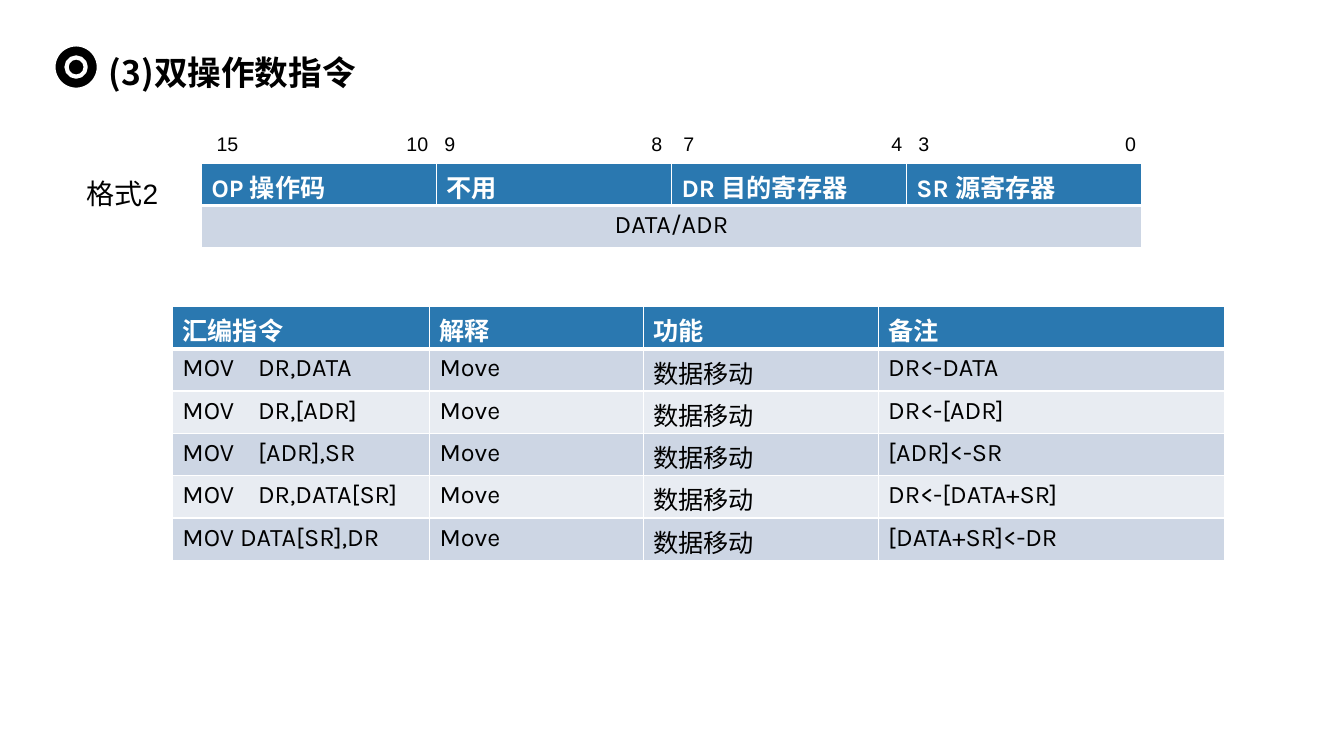
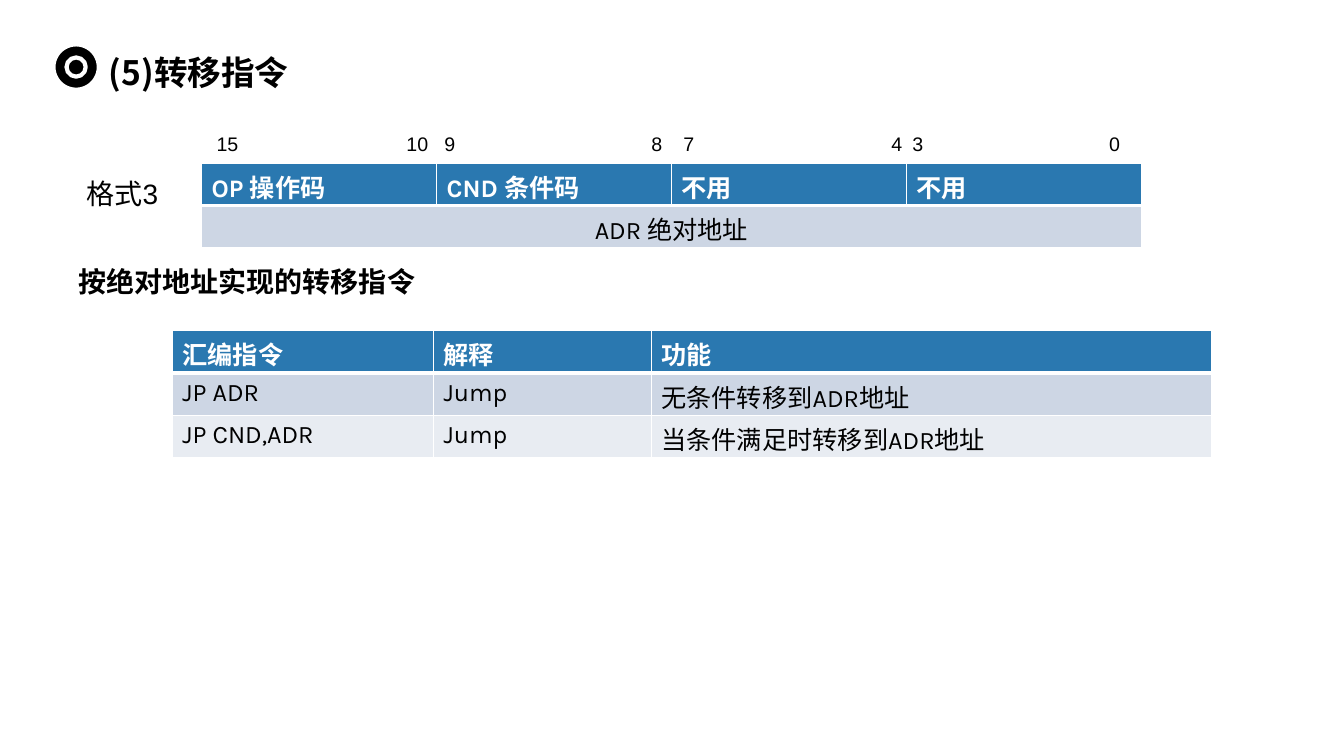
from dataclasses import dataclass

from lxml.etree import SubElement as Sub
from pptx import Presentation
from pptx.dml.color import RGBColor as Rgb
from pptx.enum.shapes import MSO_SHAPE as Shape
from pptx.enum.text import MSO_ANCHOR as Anchor, MSO_AUTO_SIZE as Auto, PP_ALIGN as Align
from pptx.oxml import parse_xml
from pptx.oxml.ns import nsdecls, qn
from pptx.util import Emu, Pt

SCALE = 9144


@dataclass(frozen=True)
class Theme:
    """Colours, fonts and sizes shared by the slides."""
    ink: str = "000000"
    white: str = "FFFFFF"
    head: str = "2A78B0"
    bands: tuple = ("CDD6E4", "E8ECF2")
    sans: str = "Arial"
    grid: str = "Karla"
    han: str = "Noto Sans CJK SC"
    title: int = 24
    label: int = 20
    cell: int = 18
    bit: int = 14
    thin: int = 1
    thick: int = 3
    row: int = 42


T = Theme()


def px(n):
    """Turn px into EMU."""
    return Emu(round(n * SCALE))


def box(*sides):
    """Turn a px box into EMU."""
    return [px(n) for n in sides]


def style(para, size, face, color=T.ink, bold=False):
    """Format every run of a paragraph."""
    for run in para.runs:
        font = run.font
        font.size, font.name, font.bold = Pt(size), face, bold
        font.color.rgb = Rgb.from_string(color)
        Sub(font._element, qn("a:ea")).set("typeface", T.han)


def tabs(para, stops):
    """Add tab stops, given as (px, alignment) pairs."""
    items = Sub(para._p.get_or_add_pPr(), qn("a:tabLst"))
    for pos, side in stops:
        tab = Sub(items, qn("a:tab"))
        tab.set("pos", str(px(pos)))
        tab.set("algn", side)


def write(slide, area, text, size, bold=False, stops=()):
    """Place a text box with one paragraph."""
    frame = slide.shapes.add_textbox(*box(*area)).text_frame
    frame.word_wrap = True
    frame.auto_size = Auto.SHAPE_TO_FIT_TEXT
    frame.text = text
    para = frame.paragraphs[0]
    if stops:
        tabs(para, stops)
    para.line_spacing = 1.3
    style(para, size, T.sans, bold=bold)


def ring(slide, left, top, size):
    """Draw the target mark beside the title."""
    group = slide.shapes.add_group_shape()
    for inset in (0, 13):
        side = size - 2 * inset
        disc = group.shapes.add_shape(
            Shape.OVAL, *box(left + inset, top + inset, side, side))
        disc.shadow.inherit = False
        disc.fill.solid()
        disc.fill.fore_color.rgb = Rgb.from_string(T.ink)
        disc.line.color.rgb = Rgb.from_string(T.white)
        disc.line.width = Pt(T.thick)


def start(deck, text):
    """Add a slide with its title and mark."""
    slide = deck.slides.add_slide(deck.slide_layouts[5])
    title = slide.shapes.title
    title.left, title.top, title.width, title.height = box(98, 32, 1207, 70)
    frame = title.text_frame
    frame.text = text
    frame.auto_size = Auto.NONE
    frame.vertical_anchor = Anchor.MIDDLE
    para = frame.paragraphs[0]
    para.alignment, para.line_spacing = Align.LEFT, 1.2
    style(para, T.title, T.han, bold=True)
    ring(slide, 53, 44, 45)
    return slide


def edge(cell, row):
    """Draw white cell borders, thick below the header."""
    wide = {"B": row == 0, "T": row == 1}
    for at, side in enumerate("LRTB"):
        width = Pt(T.thick if wide.get(side) else T.thin)
        cell._tc.get_or_add_tcPr().insert(at, parse_xml(
            f'<a:ln{side} {nsdecls("a")} w="{width}"><a:solidFill>'
            f'<a:srgbClr val="{T.white}"/></a:solidFill></a:ln{side}>'))


def grid(slide, left, top, cols, rows):
    """Place a table with a header and banded rows."""
    area = box(left, top, sum(cols), T.row * len(rows))
    table = slide.shapes.add_table(len(rows), len(cols), *area).table
    for col, width in zip(table.columns, cols):
        col.width = px(width)
    for r, texts in enumerate(rows):
        table.rows[r].height = px(T.row)
        for cell, text in zip(table.rows[r].cells, texts):
            cell.text = text
            cell.margin_bottom = 0
            cell.fill.solid()
            fill = T.bands[(r - 1) % 2] if r else T.head
            cell.fill.fore_color.rgb = Rgb.from_string(fill)
            edge(cell, r)
            para = cell.text_frame.paragraphs[0]
            if "\t" in text:
                tabs(para, [(75, "l")])
            style(para, T.cell, T.grid, T.ink if r else T.white, not r)
    return table


def layout(slide, left, top, name, fields, word, ends=(696, 912)):
    """Show an instruction word with its bit numbers and name."""
    rows = [fields, (word, "", "", "")]
    table = grid(slide, left, top, [233] * 4, rows)
    table.cell(1, 0).merge(table.cell(1, 3))
    table.cell(1, 0).text_frame.paragraphs[0].alignment = Align.CENTER
    stops = zip((210, 226, 442, 463, 680, *ends), "rlrlrlr")
    bits = "\t".join(("15", "10", "9", "8", "7", "4", "3", "0"))
    write(slide, (left + 5, top - 43, 947, 41), bits, T.bit, stops=stops)
    write(slide, (left - 124, top - 2, 91, 54), name, T.label)


def double(deck):
    """Build the two-operand slide."""
    slide = start(deck, "(3)双操作数指令")
    layout(slide, 200, 162, "格式2",
           ("OP 操作码", "不用", "DR 目的寄存器", "SR 源寄存器"), "DATA/ADR")
    moves = (("MOV\tDR,DATA", "DR<-DATA"),
             ("MOV\tDR,[ADR]", "DR<-[ADR]"),
             ("MOV\t[ADR],SR", "[ADR]<-SR"),
             ("MOV\tDR,DATA[SR]", "DR<-[DATA+SR]"),
             ("MOV DATA[SR],DR", "[DATA+SR]<-DR"))
    rows = [("汇编指令", "解释", "功能", "备注")]
    rows += [(code, "Move", "数据移动", note) for code, note in moves]
    grid(slide, 171, 304, (255, 212, 233, 344), rows)


def jump(deck):
    """Build the jump slide."""
    slide = start(deck, "(5)转移指令")
    layout(slide, 200, 162, "格式3",
           ("OP 操作码", "CND 条件码", "不用", "不用"), "ADR 绝对地址", (690, 896))
    grid(slide, 171, 328, (259, 216, 556),
         [("汇编指令", "解释", "功能"),
          ("JP ADR", "Jump", "无条件转移到ADR地址"),
          ("JP CND,ADR", "Jump", "当条件满足时转移到ADR地址")])
    write(slide, (68, 248, 608, 54), "按绝对地址实现的转移指令", T.label, True)


def main():
    """Build and save the deck."""
    deck = Presentation()
    deck.slide_width, deck.slide_height = box(1333, 750)
    double(deck)
    jump(deck)
    deck.save("out.pptx")


if __name__ == "__main__":
    main()
